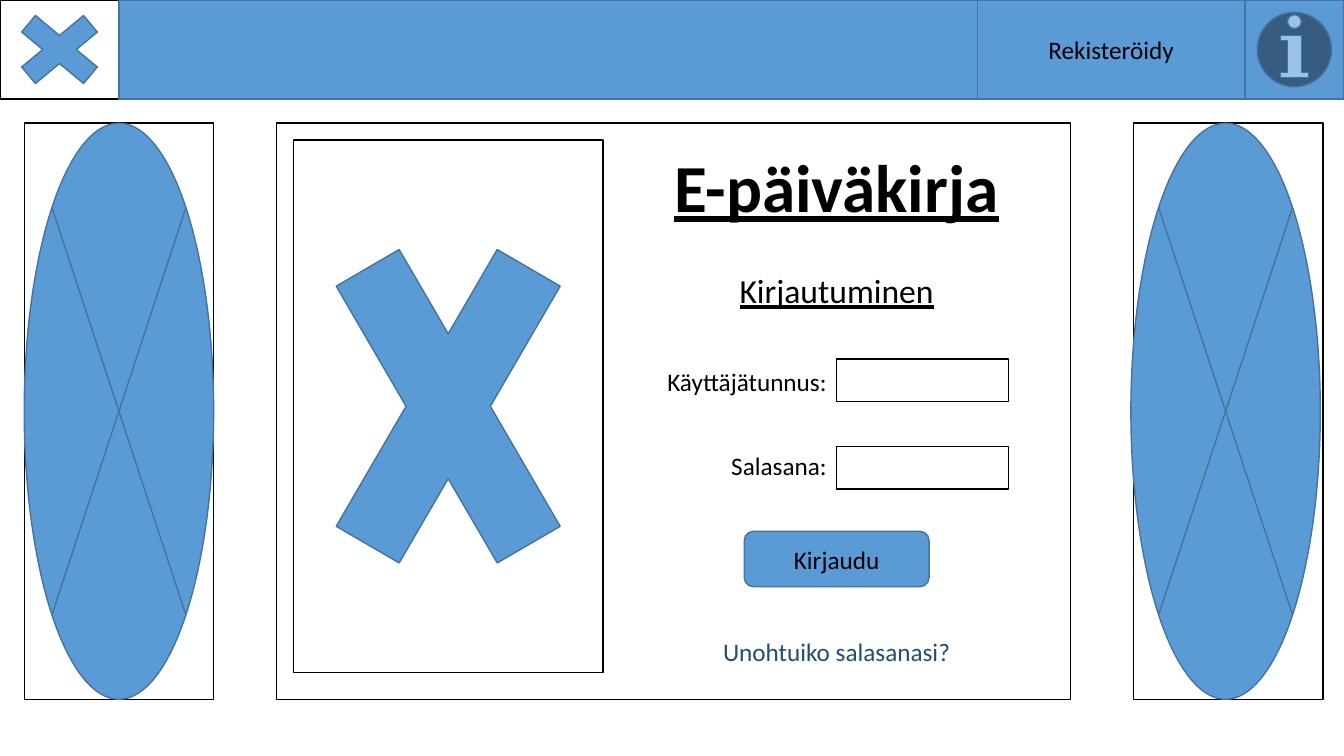
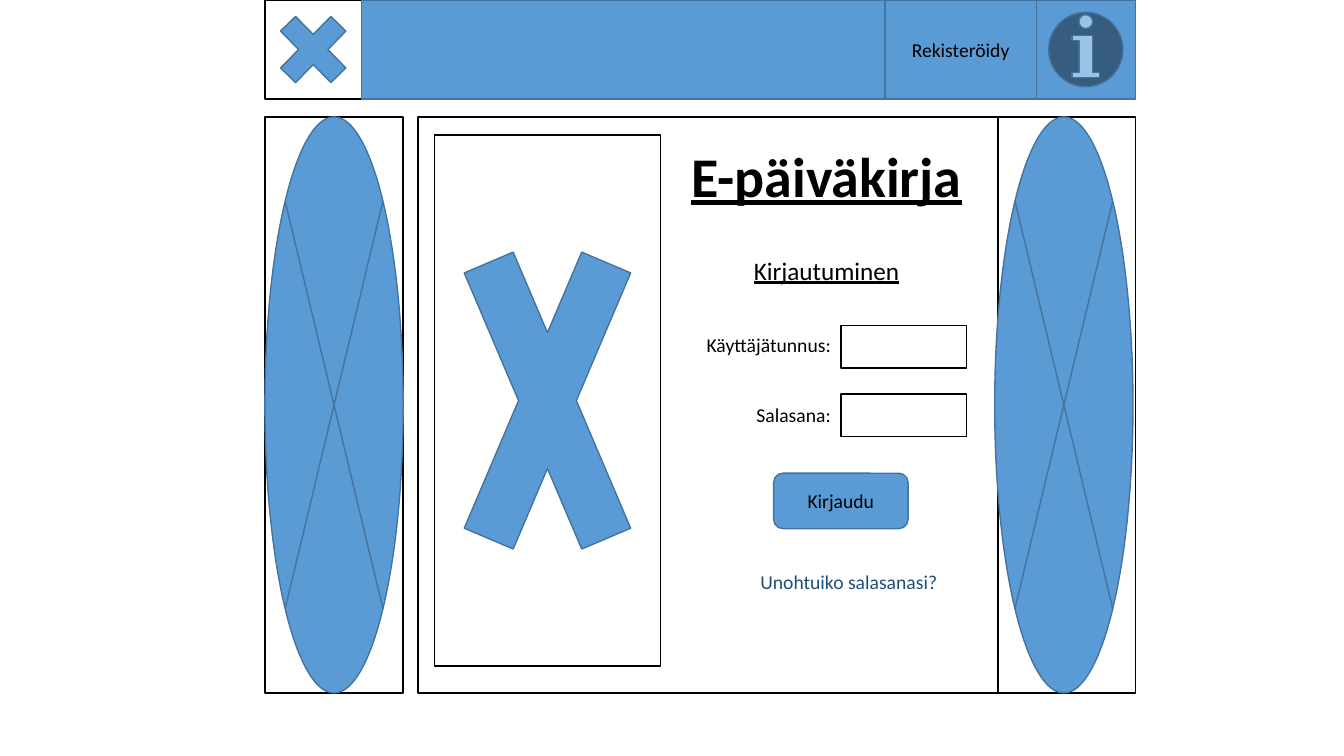
from dataclasses import dataclass
from typing import NamedTuple

from pptx import Presentation
from pptx import util as u
from pptx.dml.color import RGBColor
from pptx.enum import shapes, text

KIND = shapes.MSO_SHAPE
ALIGN = text.PP_ALIGN


class Box(NamedTuple):
    """A rectangle in points."""
    left: float
    top: float
    width: float
    height: float


class Sizes(NamedTuple):
    """Type sizes of one screen width."""
    title: int
    heading: int
    body: int


@dataclass(frozen=True)
class Theme:
    """Colours, font and type sizes of both screens."""
    fill: str = "5B9BD5"
    edge: str = "43739E"
    ink: str = "000000"
    link: str = "1F4E79"
    font: str = "Calibri"
    line: float = 1
    wide: Sizes = Sizes(48, 24, 18)
    narrow: Sizes = Sizes(40, 18, 14)


THEME = Theme()


def add_text(shape, words, size, align=ALIGN.CENTER, colour=THEME.ink,
             bold=False, underline=False):
    """Write one formatted paragraph into a shape."""
    frame = shape.text_frame
    frame.word_wrap = True
    frame.text = words
    paragraph = frame.paragraphs[0]
    paragraph.alignment = align
    font = paragraph.runs[0].font
    font.name, font.size = THEME.font, u.Pt(size)
    font.bold, font.underline = bold, underline
    font.color.rgb = RGBColor.from_string(colour)


def add_block(slide, kind, box, filled=True):
    """Add a blue shape, or a black outline when not filled."""
    shape = slide.shapes.add_shape(kind, *map(u.Pt, box))
    shape.shadow.inherit = False
    if filled:
        shape.fill.solid()
        shape.fill.fore_color.rgb = RGBColor.from_string(THEME.fill)
    else:
        shape.fill.background()
    edge = THEME.edge if filled else THEME.ink
    shape.line.color.rgb = RGBColor.from_string(edge)
    shape.line.width = u.Pt(THEME.line)
    return shape


def add_button(slide, kind, box, words, size):
    """Add a blue shape with a centred caption."""
    button = add_block(slide, kind, box)
    add_text(button, words, size)
    button.text_frame.vertical_anchor = text.MSO_ANCHOR.MIDDLE


def add_label(slide, box, words, size, **style):
    """Add a text box that grows with its text."""
    label = slide.shapes.add_textbox(*map(u.Pt, box))
    add_text(label, words, size, **style)
    label.text_frame.auto_size = text.MSO_AUTO_SIZE.SHAPE_TO_FIT_TEXT


def add_crossed_frame(slide, box):
    """Add an outlined frame with a cross in it."""
    add_block(slide, KIND.RECTANGLE, box, filled=False)
    return add_block(slide, KIND.MATH_MULTIPLY, box)


def add_header(slide, box, logo_width, register_width, bar_trim, size):
    """Place logo, bar, register button and info button across the box."""
    left, top, width, height = box
    right = left + width
    logo = add_crossed_frame(slide, Box(left, top, logo_width, height))
    logo.adjustments[0] = 0.217
    add_block(slide, KIND.RECTANGLE, Box(
        left + logo_width, top, width - logo_width - bar_trim, height))
    info_left = right - height
    add_block(slide, KIND.ACTION_BUTTON_INFORMATION,
              Box(info_left, top, height, height))
    add_button(slide, KIND.RECTANGLE,
               Box(info_left - register_width, top, register_width, height),
               "Rekisteröidy", size)


def add_advert(slide, box, shift=0):
    """Place a side banner: a frame and a crossed oval."""
    add_block(slide, KIND.RECTANGLE, box, filled=False)
    add_block(slide, KIND.FLOWCHART_SUMMING_JUNCTION,
              box._replace(left=box.left + shift))


@dataclass(frozen=True)
class Form:
    """Measures of the login form, taken from the panel's top left corner."""
    axis: float
    title: Box
    heading: Box
    link: Box
    field_tops: tuple
    label_tops: tuple
    field_width: float
    label_width: float
    button_top: float
    button_width: float


def add_form(slide, panel, form, sizes):
    """Place title, heading, fields, button and link inside the panel."""
    def inside(box):
        return box._replace(left=panel.left + box.left, top=panel.top + box.top)

    add_label(slide, inside(form.title), "E-päiväkirja", sizes.title,
              bold=True, underline=True)
    add_label(slide, inside(form.heading), "Kirjautuminen", sizes.heading,
              underline=True)
    captions = ("Käyttäjätunnus:", "Salasana:")
    for caption, field_top, label_top in zip(
            captions, form.field_tops, form.label_tops):
        add_block(slide, KIND.RECTANGLE, inside(
            Box(form.axis, field_top, form.field_width, 30.4)), filled=False)
        add_label(slide, inside(Box(form.axis - form.label_width, label_top,
                                    form.label_width, sizes.body * 1.6)),
                  caption, sizes.body, align=ALIGN.RIGHT)
    add_button(slide, KIND.FLOWCHART_ALTERNATE_PROCESS, inside(
        Box(form.axis - form.button_width / 2, form.button_top,
            form.button_width, 39.6)), "Kirjaudu", sizes.body)
    add_label(slide, inside(form.link), "Unohtuiko salasanasi?", sizes.body,
              colour=THEME.link)


@dataclass(frozen=True)
class Screen:
    """Measures of one login screen."""
    sizes: Sizes
    header: Box
    logo_width: float
    register_width: float
    bar_trim: float
    panel: Box
    picture: Box
    adverts: tuple
    form: Form


def add_login_screen(deck, screen):
    """Build one login slide."""
    slide = deck.slides.add_slide(deck.slide_layouts[6])
    panel, picture = screen.panel, screen.picture
    add_header(slide, screen.header, screen.logo_width, screen.register_width,
               screen.bar_trim, screen.sizes.body)
    add_block(slide, KIND.RECTANGLE, panel, filled=False)
    add_crossed_frame(slide, picture._replace(
        left=panel.left + picture.left, top=panel.top + picture.top))
    add_form(slide, panel, screen.form, screen.sizes)
    left_advert, right_advert = screen.adverts
    add_advert(slide, left_advert)
    add_advert(slide, right_advert, shift=-2)


WIDE = Screen(
    sizes=THEME.wide, header=Box(0, 0, 960, 70.8), logo_width=85,
    register_width=191, bar_trim=0,
    panel=Box(197.7, 88, 567, 411.5), picture=Box(11.8, 12, 221.3, 380.4),
    adverts=(Box(17.3, 88, 135.3, 411.5), Box(809.8, 88, 135.3, 411.5)),
    form=Form(
        axis=399.9, title=Box(245, 12, 309.8, 65.5),
        heading=Box(277.5, 101.4, 244.8, 36.4),
        link=Box(277.5, 362.8, 244.8, 29),
        field_tops=(168.6, 231), label_tops=(170, 230.3),
        field_width=123, label_width=139,
        button_top=291.5, button_width=132))

NARROW = Screen(
    sizes=THEME.narrow, header=Box(189.2, 0, 621.8, 70.8), logo_width=69.1,
    register_width=108, bar_trim=4,
    panel=Box(298.6, 83.5, 414.2, 411.5), picture=Box(11.7, 12.9, 161.5, 379.5),
    adverts=(Box(189.2, 83.5, 98.8, 411.5), Box(712.5, 83.5, 98.8, 411.5)),
    form=Form(
        axis=302, title=Box(178.8, 13.7, 226, 55.7),
        heading=Box(202.5, 95, 178.6, 29),
        link=Box(218.4, 319.7, 178.6, 24.2),
        field_tops=(149, 198), label_tops=(150.5, 200.9),
        field_width=90, label_width=105.5,
        button_top=254.5, button_width=96))

deck = Presentation()
deck.slide_width, deck.slide_height = u.Pt(960), u.Pt(540)
for login_screen in (WIDE, NARROW):
    add_login_screen(deck, login_screen)
deck.save("out.pptx")
